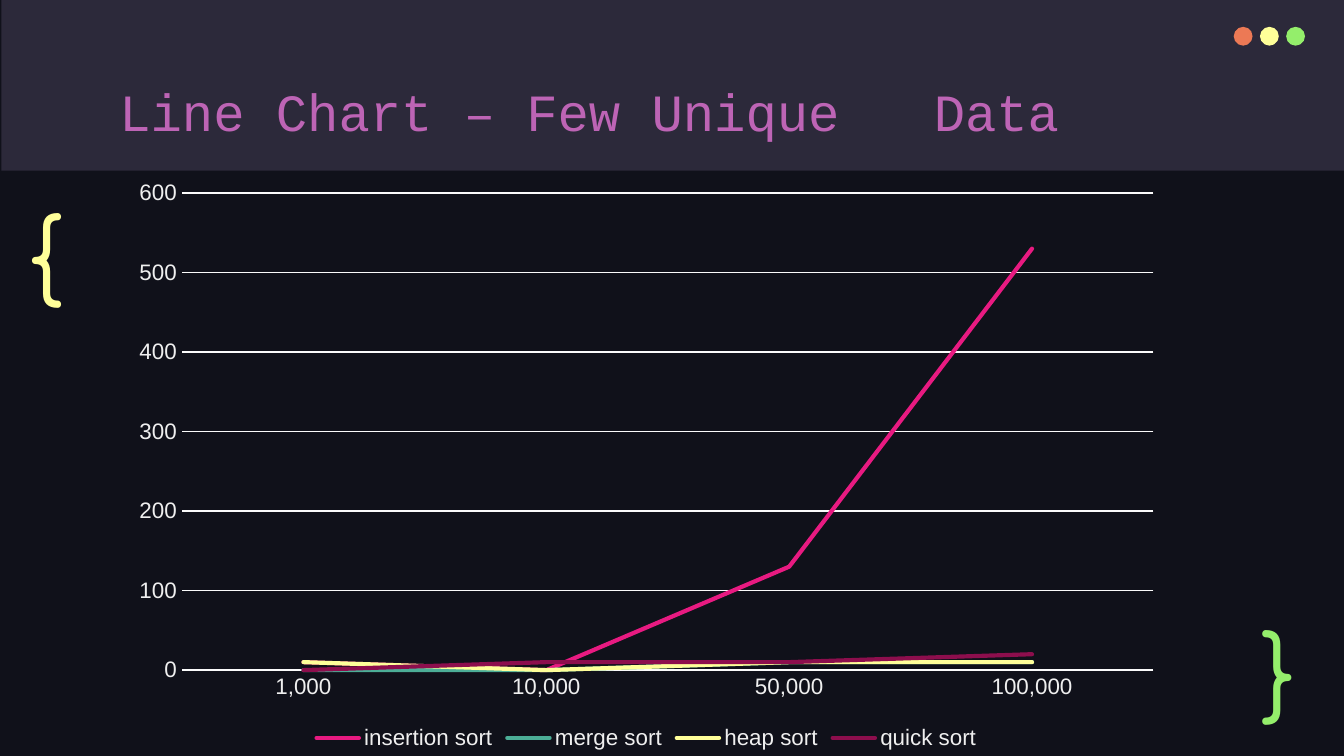
from lxml import etree
from pptx import Presentation
from pptx import util as u
from pptx.chart import data as chart_data
from pptx.dml import color
from pptx.enum import chart as chart_enum, shapes, text
from pptx.oxml import ns

COLORS = {
    "page": "10111A", "band": "2C293A", "title": "BD64B5", "label": "EFEFEF",
    "grid": "FBFBFB", "orange": "EC7955", "yellow": "FFFF99", "green": "94EE6B",
    "pink": "E81A81", "teal": "4CAE97", "plum": "8D0E4D",
}
SIZES = [1000, 10000, 50000, 100000]
SORTS = [
    ("insertion sort", "pink", [10, 0, 130, 530]),
    ("merge sort", "teal", [0, 0, 10, 10]),
    ("heap sort", "yellow", [10, 0, 10, 10]),
    ("quick sort", "plum", [0, 10, 10, 20]),
]


def rgb(name):
    return color.RGBColor.from_string(COLORS[name])


def inches(box):
    return [u.Inches(length) for length in box]


def add_shape(page, kind, box, fill):
    shape = page.shapes.add_shape(kind, *inches(box))
    shape.shadow.inherit = False
    shape.fill.solid()
    shape.fill.fore_color.rgb = rgb(fill)
    shape.line.fill.background()


def add_text(page, box, words, *, font, size, ink, tab=None):
    """Add a one-line text box; tab is the position of a tab stop in inches."""
    frame = page.shapes.add_textbox(*inches(box)).text_frame
    frame.word_wrap = True
    frame.vertical_anchor = text.MSO_ANCHOR.TOP
    frame.margin_left = frame.margin_right = u.Inches(0.1)
    frame.margin_top = frame.margin_bottom = u.Inches(0.1)
    para = frame.paragraphs[0]
    span = para.add_run()
    span.text = words
    span.font.name = font
    span.font.size = u.Pt(size)
    span.font.color.rgb = rgb(ink)
    if tab is not None:
        stops = etree.SubElement(para._p.get_or_add_pPr(), ns.qn("a:tabLst"))
        etree.SubElement(stops, ns.qn("a:tab"), pos=str(u.Inches(tab)), algn="l")


def add_header(page, box):
    left, top, width, height = box
    add_shape(page, shapes.MSO_SHAPE.RECTANGLE, box, "band")
    for index, fill in enumerate(["orange", "yellow", "green"]):
        dot = (left + 9.17 + index * 0.195, top + 0.2, 0.14, 0.14)
        add_shape(page, shapes.MSO_SHAPE.OVAL, dot, fill)
    add_text(page, (left + 0.78, top + 0.49, 8.43, 0.63),
             "Line Chart – Few Unique\tData",
             font="Courier New", size=28, ink="title", tab=6.06)


def style_font(font):
    font.name = "Arial"
    font.size = u.Pt(12)
    font.color.rgb = rgb("label")


def style_line(line, ink, width):
    line.color.rgb = rgb(ink)
    line.width = u.Pt(width)


def add_sort_chart(page, box):
    table = chart_data.CategoryChartData(number_format="General")
    table.categories = SIZES
    table.categories.number_format = "#,##0"
    for name, _, values in SORTS:
        table.add_series(name, values)
    chart = page.shapes.add_chart(
        chart_enum.XL_CHART_TYPE.LINE, *inches(box), table).chart
    chart.has_title = False
    style_font(chart.font)

    for axis in (chart.category_axis, chart.value_axis):
        axis.major_tick_mark = chart_enum.XL_TICK_MARK.NONE
        axis.minor_tick_mark = chart_enum.XL_TICK_MARK.NONE
        style_font(axis.tick_labels.font)
    sizes, times = chart.category_axis, chart.value_axis
    sizes.tick_labels.number_format = "#,##0"
    sizes.tick_labels.number_format_is_linked = False
    style_line(sizes.format.line, "grid", 0.75)
    times.minimum_scale, times.maximum_scale, times.major_unit = 0, 600, 100
    times.format.line.fill.background()
    style_line(times.major_gridlines.format.line, "grid", 0.75)

    chart.has_legend = True
    chart.legend.position = chart_enum.XL_LEGEND_POSITION.BOTTOM
    chart.legend.include_in_layout = False
    style_font(chart.legend.font)

    plot = chart.plots[0]
    plot.vary_by_categories = False
    for series, (_, ink, _) in zip(plot.series, SORTS):
        series.smooth = False
        series.marker.style = chart_enum.XL_MARKER_STYLE.NONE
        style_line(series.format.line, ink, 2.25)
        outline = series.format.line._get_or_add_ln()
        outline.set("cap", "rnd")
        etree.SubElement(outline, ns.qn("a:round"))


def main():
    deck = Presentation()
    deck.slide_width = u.Inches(10)
    deck.slide_height = deck.slide_width * 9 // 16
    page = deck.slides.add_slide(deck.slide_layouts[6])
    page.background.fill.solid()
    page.background.fill.fore_color.rgb = rgb("page")
    add_header(page, (0.01, 0, 10, 1.27))
    for box, brace, ink in [((0.11, 1.34, 0.77, 0.95), "{", "yellow"),
                            ((9.29, 4.44, 0.57, 0.83), "}", "green")]:
        add_text(page, box, brace, font="Comfortaa", size=50, ink=ink)
    add_sort_chart(page, (0.88, 1.26, 7.86, 4.36))
    deck.save("out.pptx")


if __name__ == "__main__":
    main()
